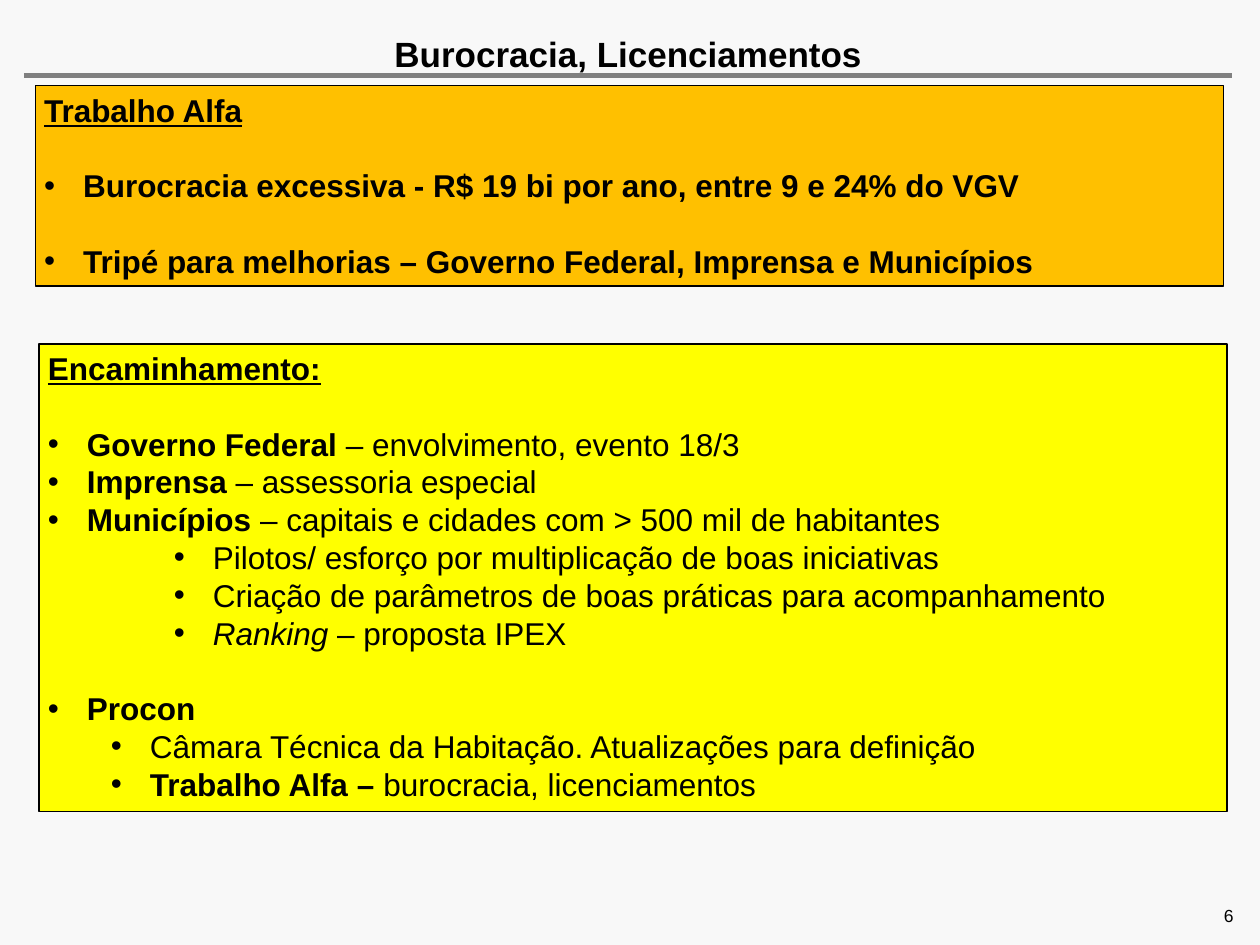
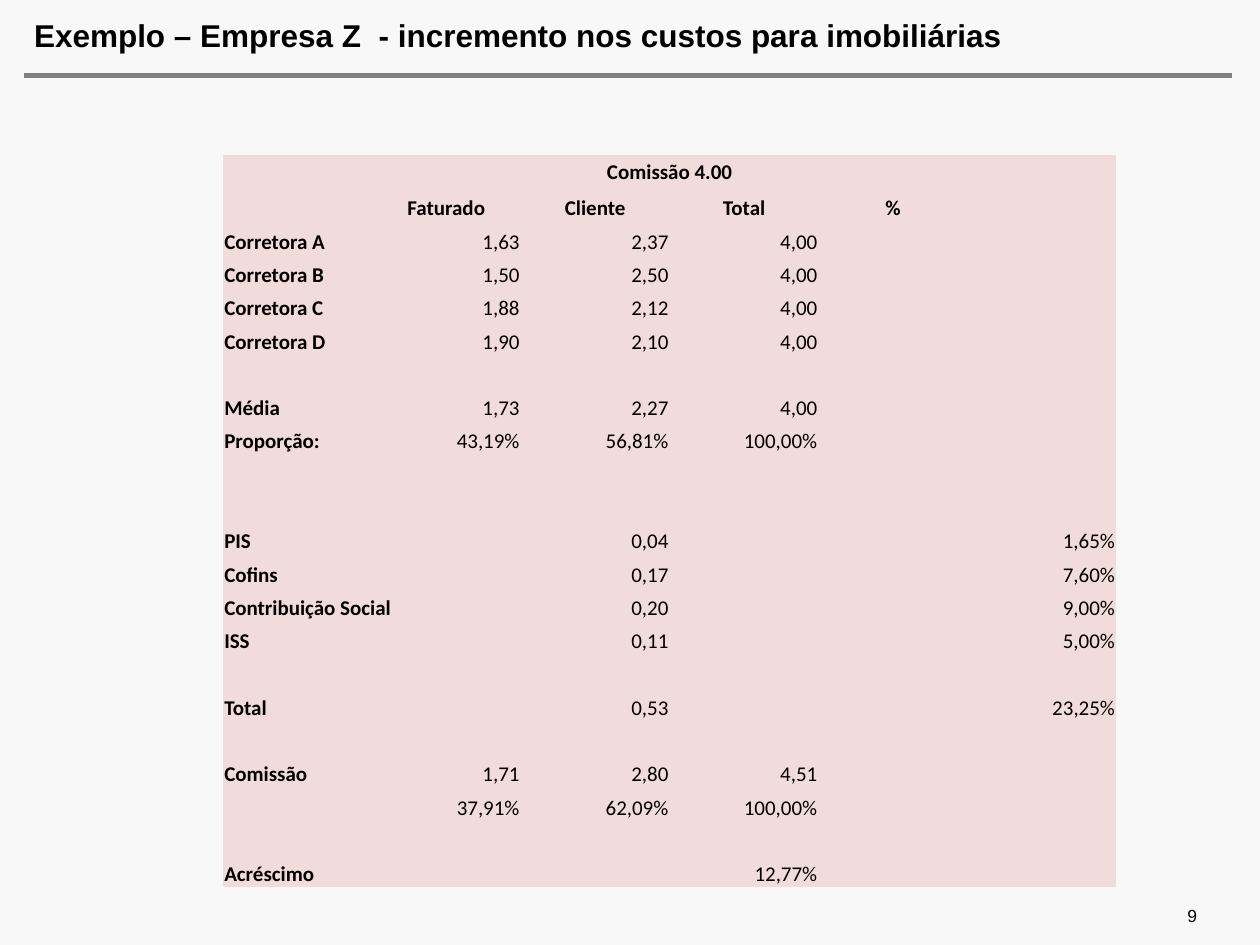
from lxml import etree
from pptx import Presentation
from pptx.dml.color import RGBColor
from pptx.enum import shapes, text
from pptx.oxml import ns
from pptx.util import Inches, Pt

BACKGROUND, RULE, BLACK = "F8F8F8", "808080", "000000"
ORANGE, YELLOW, PINK = "FFC000", "FFFF00", "F2DCDB"
LEFT, CENTER, RIGHT = text.PP_ALIGN.LEFT, text.PP_ALIGN.CENTER, text.PP_ALIGN.RIGHT
TOP, MIDDLE, BOTTOM = text.MSO_ANCHOR.TOP, text.MSO_ANCHOR.MIDDLE, text.MSO_ANCHOR.BOTTOM
NO_TABLE_STYLE = "{2D5ABB26-0587-4C30-8999-92F81FD0307C}"
HANGING = 0.31
BLANK_LINE = Pt(21.6)

STUDY_LINES = [
    (None, False, [("Trabalho Alfa", "bu")]),
    (0, True, [("Burocracia excessiva - R$ 19 bi por ano, entre 9 e 24% do VGV", "b")]),
    (0, True, [("Tripé para melhorias – Governo Federal, Imprensa e Municípios", "b")]),
]
NEXT_STEP_LINES = [
    (None, False, [("Encaminhamento:", "bu")]),
    (0, True, [("Governo Federal ", "b"), ("– envolvimento, evento 18/3", "")]),
    (0, False, [("Imprensa", "b"), (" – assessoria especial", "")]),
    (0, False, [("Municípios ", "b"), ("– capitais e cidades com > 500 mil de habitantes", "")]),
    (2, False, [("Pilotos/ esforço por multiplicação de boas iniciativas", "")]),
    (2, False, [("Criação de parâmetros de boas práticas para acompanhamento", "")]),
    (2, False, [("Ranking ", "i"), ("– proposta IPEX", "")]),
    (0, True, [("Procon", "b")]),
    (1, False, [("Câmara Técnica da Habitação. Atualizações para definição", "")]),
    (1, False, [("Trabalho Alfa – ", "b"), ("burocracia, licenciamentos", "")]),
]
COMMISSION_ROWS = [
    ["Comissão 4.00"],
    ["", "Faturado", "Cliente", "Total", "%"],
    ["Corretora A", "1,63", "2,37", "4,00"],
    ["Corretora B", "1,50", "2,50", "4,00"],
    ["Corretora C", "1,88", "2,12", "4,00"],
    ["Corretora D", "1,90", "2,10", "4,00"],
    [],
    ["Média", "1,73", "2,27", "4,00"],
    ["Proporção:", "43,19%", "56,81%", "100,00%"],
    [],
    [],
    ["PIS", "", "0,04", "", "", "1,65%"],
    ["Cofins", "", "0,17", "", "", "7,60%"],
    ["Contribuição Social", "", "0,20", "", "", "9,00%"],
    ["ISS", "", "0,11", "", "", "5,00%"],
    [],
    ["Total", "", "0,53", "", "", "23,25%"],
    [],
    ["Comissão", "1,71", "2,80", "4,51"],
    ["", "37,91%", "62,09%", "100,00%"],
    [],
    ["Acréscimo", "", "", "12,77%"],
]
COLUMN_COUNT = 6
MERGES = [((0, 0), (0, 5)), ((13, 0), (13, 1))]


def color(value):
    return RGBColor.from_string(value)


def place(left, top, width, height):
    return [Inches(length) for length in (left, top, width, height)]


def add_span(para, words, size, style="", font="Arial"):
    span = para.add_run()
    span.text = words
    span.font.name, span.font.size = font, Pt(size)
    span.font.color.rgb = color(BLACK)
    span.font.bold, span.font.italic = "b" in style, "i" in style
    span.font.underline = "u" in style


def set_frame(frame, anchor, side=0, end=0):
    frame.word_wrap = True
    frame.vertical_anchor = anchor
    frame.margin_left = frame.margin_right = Inches(side)
    frame.margin_top = frame.margin_bottom = Inches(end)


def add_page(deck, title, title_place, title_size, align, title_spacing, number, number_left):
    page = deck.slides.add_slide(deck.slide_layouts[5])
    rule = page.shapes.add_connector(
        shapes.MSO_CONNECTOR.STRAIGHT, Inches(0.19), Inches(0.6), Inches(9.78), Inches(0.6))
    rule.line.color.rgb, rule.line.width = color(RULE), Pt(3.2)
    etree.SubElement(rule._element.spPr, ns.qn("a:effectLst"))

    heading = page.shapes.title
    heading.left, heading.top, heading.width, heading.height = place(*title_place)
    number_box = page.shapes.add_textbox(*place(number_left, 7.18, 2.34, 0.17))
    for box, anchor, words, size, style, side, spacing in [
            (heading, MIDDLE, title, title_size, "b", align, title_spacing),
            (number_box, BOTTOM, number, 10, "", RIGHT, 1.0)]:
        set_frame(box.text_frame, anchor)
        box.text_frame.auto_size = text.MSO_AUTO_SIZE.NONE
        para = box.text_frame.paragraphs[0]
        para.alignment, para.line_spacing = side, spacing
        add_span(para, words, size, style)
    return page


def add_bullet(para, level):
    para.level = level
    properties = para._p.get_or_add_pPr()
    properties.set("marL", str(Inches(HANGING + level * 0.5)))
    properties.set("indent", str(-Inches(HANGING)))
    etree.SubElement(properties, ns.qn("a:buFont"), typeface="Arial")
    etree.SubElement(properties, ns.qn("a:buChar"), char="•")


def add_panel(page, area, fill, lines):
    box = page.shapes.add_shape(shapes.MSO_SHAPE.RECTANGLE, *place(*area))
    box.shadow.inherit = False
    box.fill.solid()
    box.fill.fore_color.rgb = color(fill)
    box.line.color.rgb, box.line.width = color(BLACK), Pt(0.75)
    frame = box.text_frame
    set_frame(frame, TOP, 0.07, 0.04)
    for index, (level, blank_before, spans) in enumerate(lines):
        para = frame.add_paragraph() if index else frame.paragraphs[0]
        para.alignment = LEFT
        para.space_before = BLANK_LINE if blank_before else Pt(0)
        if level is not None:
            add_bullet(para, level)
        for words, style in spans:
            add_span(para, words, 18, style)


def fill_cell(cell, row, column, words):
    cell.fill.solid()
    cell.fill.fore_color.rgb = color(PINK)
    cell.margin_left = cell.margin_right = cell.margin_top = Inches(0.01)
    cell.margin_bottom = 0
    cell.vertical_anchor = BOTTOM if row else MIDDLE
    para = cell.text_frame.paragraphs[0]
    para.alignment = CENTER if row < 2 else RIGHT if column else LEFT
    if words:
        add_span(para, words, 12, "b" if row < 2 or column == 0 else "", "Calibri")
    else:
        etree.SubElement(para._p, ns.qn("a:endParaRPr"), sz="1200")


def add_commission_table(page):
    row_count = len(COMMISSION_ROWS)
    table = page.shapes.add_table(row_count, COLUMN_COUNT, *place(1.77, 1.23, 7.09, 5.82)).table
    table.first_row = table.horz_banding = False
    table._tbl.tblPr[0].text = NO_TABLE_STYLE
    for row, values in enumerate(COMMISSION_ROWS):
        for column in range(COLUMN_COUNT):
            words = values[column] if column < len(values) else ""
            fill_cell(table.cell(row, column), row, column, words)
    for first, last in MERGES:
        table.cell(*first).merge(table.cell(*last))


def main():
    deck = Presentation()
    deck.slide_width, deck.slide_height = Inches(10), Inches(7.5)
    background = deck.slide_master.background.fill
    background.solid()
    background.fore_color.rgb = color(BACKGROUND)

    page = add_page(deck, "Burocracia, Licenciamentos ", (0.27, 0.25, 9.51, 0.35),
                    20, CENTER, 1.0, "6", 7.45)
    add_panel(page, (0.28, 0.68, 9.43, 1.59), ORANGE, STUDY_LINES)
    add_panel(page, (0.31, 2.73, 9.43, 3.71), YELLOW, NEXT_STEP_LINES)

    page = add_page(deck, "Exemplo – Empresa Z  - incremento nos custos para imobiliárias",
                    (0.27, 0.16, 8.09, 0.27), 18, LEFT, 0.9, "9", 7.16)
    add_commission_table(page)
    deck.save("out.pptx")


if __name__ == "__main__":
    main()
